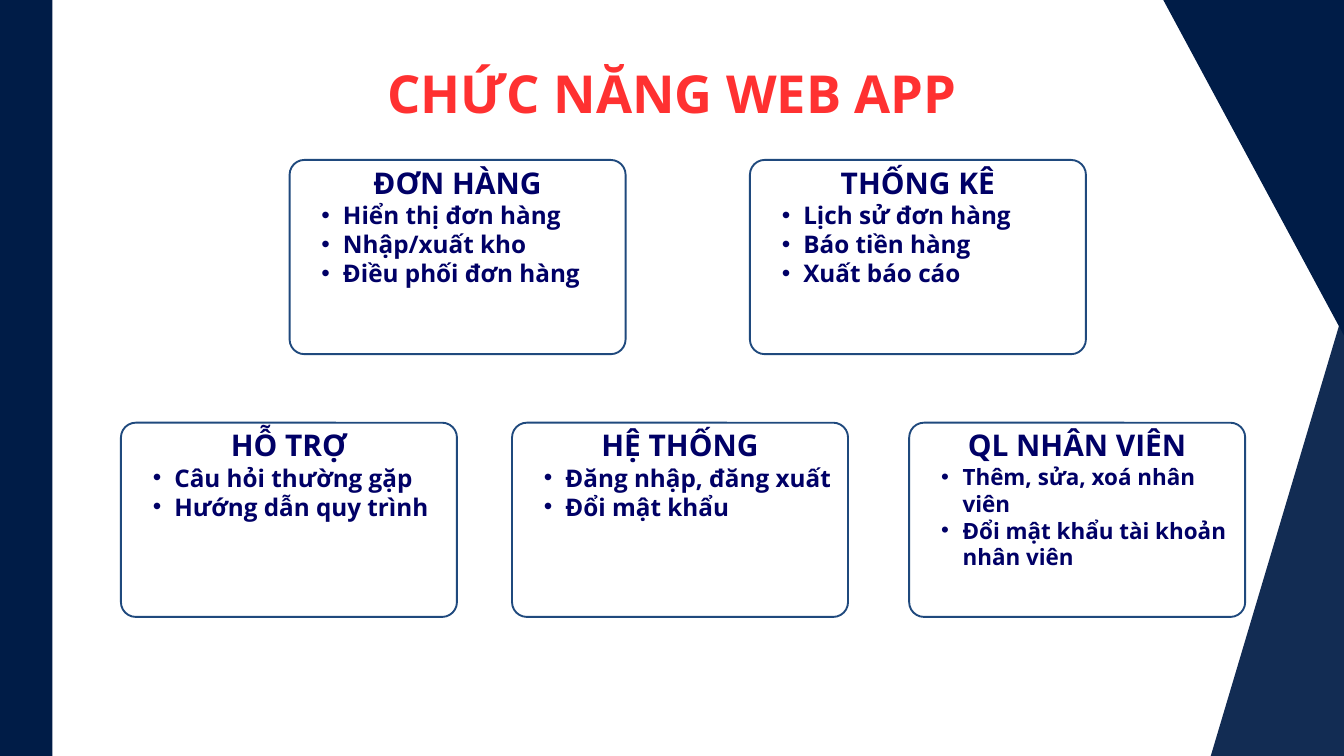
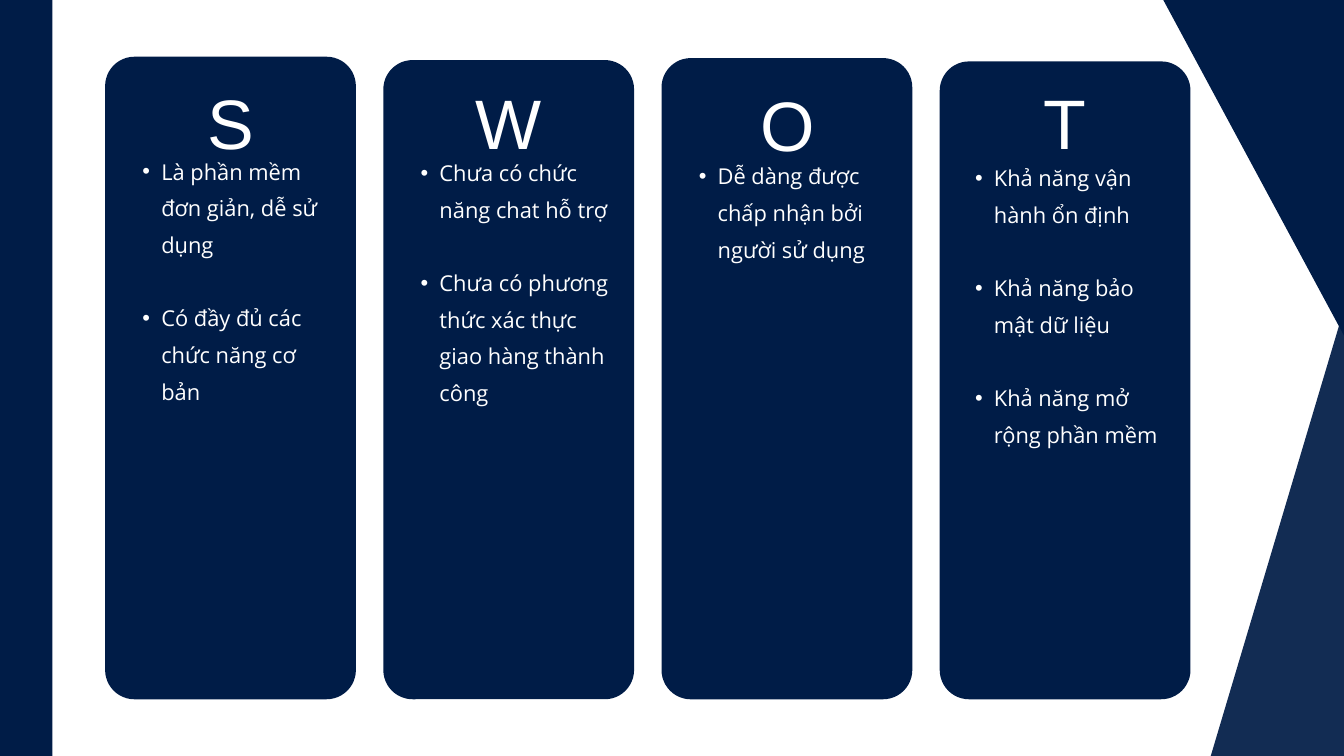
from lxml import etree
from pptx import Presentation
from pptx import util as u
from pptx.dml import color
from pptx.enum import shapes, text
from pptx.oxml import ns

COLORS = {
    "navy": "001C47",
    "red": "FF3131",
    "ink": "000066",
    "border": "1F497D",
    "white": "FFFFFF",
}
BODY_FONT = "Open Sans"
LETTER_FONT = "Arial"

CARD_W, CARD_H = 5, 2.89
CARDS = [  # left, top, heading, bullet size, bullets
    (4.31, 2.38, "ĐƠN HÀNG", 26,
     ["Hiển thị đơn hàng", "Nhập/xuất kho", "Điều phối đơn hàng"]),
    (11.16, 2.38, "THỐNG KÊ", 26,
     ["Lịch sử đơn hàng", "Báo tiền hàng", "Xuất báo cáo"]),
    (1.8, 6.29, "HỖ TRỢ", 26,
     ["Câu hỏi thường gặp", "Hướng dẫn quy trình"]),
    (7.62, 6.29, "HỆ THỐNG", 26,
     ["Đăng nhập, đăng xuất", "Đổi mật khẩu"]),
    (13.53, 6.29, "QL NHÂN VIÊN", 24,
     ["Thêm, sửa, xoá nhân viên", "Đổi mật khẩu tài khoản nhân viên"]),
]

PANEL_LEFT, PANEL_PITCH, PANEL_W, PANEL_BOTTOM = 1.59, 4.14, 3.68, 10.38
SWOT = [  # letter, letter width, letter top, panel top, list inset, top, height, bullets
    ("S", 0.76, 0.69, 0.87, 0.26, 2.2, 3.21,
     ["Là phần mềm đơn giản, dễ sử dụng", "Có đầy đủ các chức năng cơ bản"]),
    ("W", 1.05, 0.69, 0.92, 0.26, 2.22, 4.25,
     ["Chưa có chức năng chat hỗ trợ",
      "Chưa có phương thức xác thực giao hàng thành công"]),
    ("O", 0.78, 0.71, 0.89, 0.26, 2.27, 1.82,
     ["Dễ dàng được chấp nhận bởi người sử dụng"]),
    ("T", 0.73, 0.69, 0.94, 0.23, 2.3, 3.67,
     ["Khả năng vận hành ổn định", "Khả năng bảo mật dữ liệu",
      "Khả năng mở rộng phần mềm"]),
]


def rgb(name):
    return color.RGBColor.from_string(COLORS[name])


class Deck:
    def __init__(self):
        self.prs = Presentation()
        self.prs.slide_width = u.Inches(20)
        self.prs.slide_height = u.Inches(11.25)
        self.s = None

    def new_slide(self):
        """Start a slide with the navy bands on both sides."""
        self.s = self.prs.slides.add_slide(self.prs.slide_layouts[6])
        self.box(18.36, 4.65, 2.41, 11.25, rotation=16.6, alpha=93)
        self.box(18.51, -4.71, 3.46, 13, rotation=331.7)
        self.box(0, 0, 0.78, 11.25)

    def box(self, x, y, w, h, fill="navy", line=None, line_w=0, radius=0,
            rotation=0, alpha=None):
        """Add a rectangle; radius is in inches, alpha in percent."""
        kind = shapes.MSO_SHAPE.ROUNDED_RECTANGLE if radius else shapes.MSO_SHAPE.RECTANGLE
        sp = self.s.shapes.add_shape(kind, *map(u.Inches, (x, y, w, h)))
        sp.shadow.inherit = False
        sp.rotation = rotation
        if radius:
            sp.adjustments[0] = radius / min(w, h)
        sp.fill.solid()
        sp.fill.fore_color.rgb = rgb(fill)
        if alpha:
            clr = sp.fill._xPr.find(".//" + ns.qn("a:srgbClr"))
            etree.SubElement(clr, ns.qn("a:alpha"), val=str(alpha * 1000))
        if line:
            sp.line.color.rgb = rgb(line)
            sp.line.width = u.Pt(line_w)
        else:
            sp.line.fill.background()
        return sp

    def frame(self, sp, side=0):
        """Prepare a shape's text frame: wrapped, top anchored, side margins only."""
        tf = sp.text_frame
        tf.word_wrap = True
        tf.vertical_anchor = text.MSO_ANCHOR.TOP
        tf.margin_left = tf.margin_right = u.Inches(side)
        tf.margin_top = tf.margin_bottom = 0
        return tf

    def text_box(self, x, y, w, h):
        sp = self.s.shapes.add_textbox(*map(u.Inches, (x, y, w, h)))
        tf = self.frame(sp)
        tf.auto_size = text.MSO_AUTO_SIZE.SHAPE_TO_FIT_TEXT
        return tf

    def paragraph(self, tf, words, size, ink, bold=False, font=BODY_FONT,
                  align=text.PP_ALIGN.CENTER, spacing=None):
        p = tf.paragraphs[0]
        if p.runs:
            p = tf.add_paragraph()
        p.alignment = align
        if spacing:
            p.line_spacing = spacing
        r = p.add_run()
        r.text = words
        r.font.size = u.Pt(size)
        r.font.name = font
        r.font.bold = bold
        r.font.color.rgb = rgb(ink)
        return p

    def bullets(self, tf, items, size, ink, left, hang, gap=0, level=0, **style):
        """Add bulleted paragraphs; gap is the space between them in points."""
        for i, item in enumerate(items):
            p = self.paragraph(tf, item, size, ink, align=text.PP_ALIGN.LEFT, **style)
            p.level = level
            if gap and i:
                p.space_before = u.Pt(gap)
            pPr = p._p.get_or_add_pPr()
            pPr.set("marL", str(u.Inches(left)))
            pPr.set("indent", str(-u.Inches(hang)))
            clr = etree.SubElement(pPr, ns.qn("a:buClr"))
            etree.SubElement(clr, ns.qn("a:srgbClr"), val=COLORS[ink])
            etree.SubElement(pPr, ns.qn("a:buFont"), typeface="Arial")
            etree.SubElement(pPr, ns.qn("a:buChar"), char="•")

    def title(self, words):
        tf = self.text_box(3.92, 0.54, 12.16, 1.05)
        self.paragraph(tf, words, 56.1, "red", bold=True, spacing=1.4)

    def card(self, x, y, heading, size, items):
        sp = self.box(x, y, CARD_W, CARD_H, "white", "border", 2, radius=0.22)
        tf = self.frame(sp, side=0.04)
        self.paragraph(tf, heading, 32, "ink", bold=True)
        self.bullets(tf, items, size, "ink", 0.69, 0.32, bold=True)

    def swot_panel(self, x, letter, letter_w, letter_top, top, inset, list_top, list_h, items):
        self.box(x, top, PANEL_W, PANEL_BOTTOM - top, line="navy", line_w=3.75, radius=0.41)
        tf = self.text_box(x + (PANEL_W - letter_w) / 2, letter_top, letter_w, 1.43)
        self.paragraph(tf, letter, 75, "white", font=LETTER_FONT, spacing=1.4)
        tf = self.text_box(x + inset, list_top, 3.16, list_h)
        self.bullets(tf, items, 23.4, "white", 0.55, 0.28, gap=39.3, level=1, spacing=1.4)


def main():
    deck = Deck()

    deck.new_slide()
    deck.title("CHỨC NĂNG WEB APP")
    for card in CARDS:
        deck.card(*card)

    deck.new_slide()
    for i, panel in enumerate(SWOT):
        deck.swot_panel(PANEL_LEFT + i * PANEL_PITCH, *panel)

    deck.prs.save("out.pptx")


if __name__ == "__main__":
    main()
